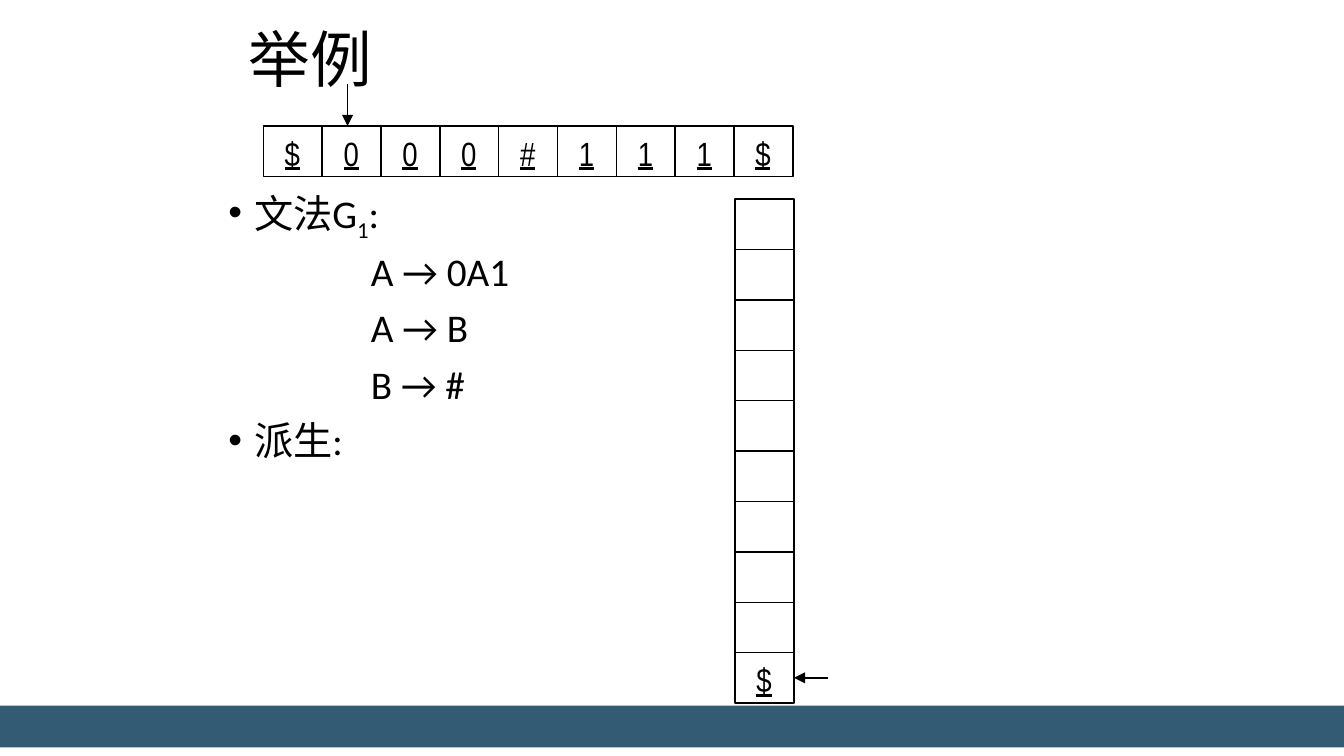
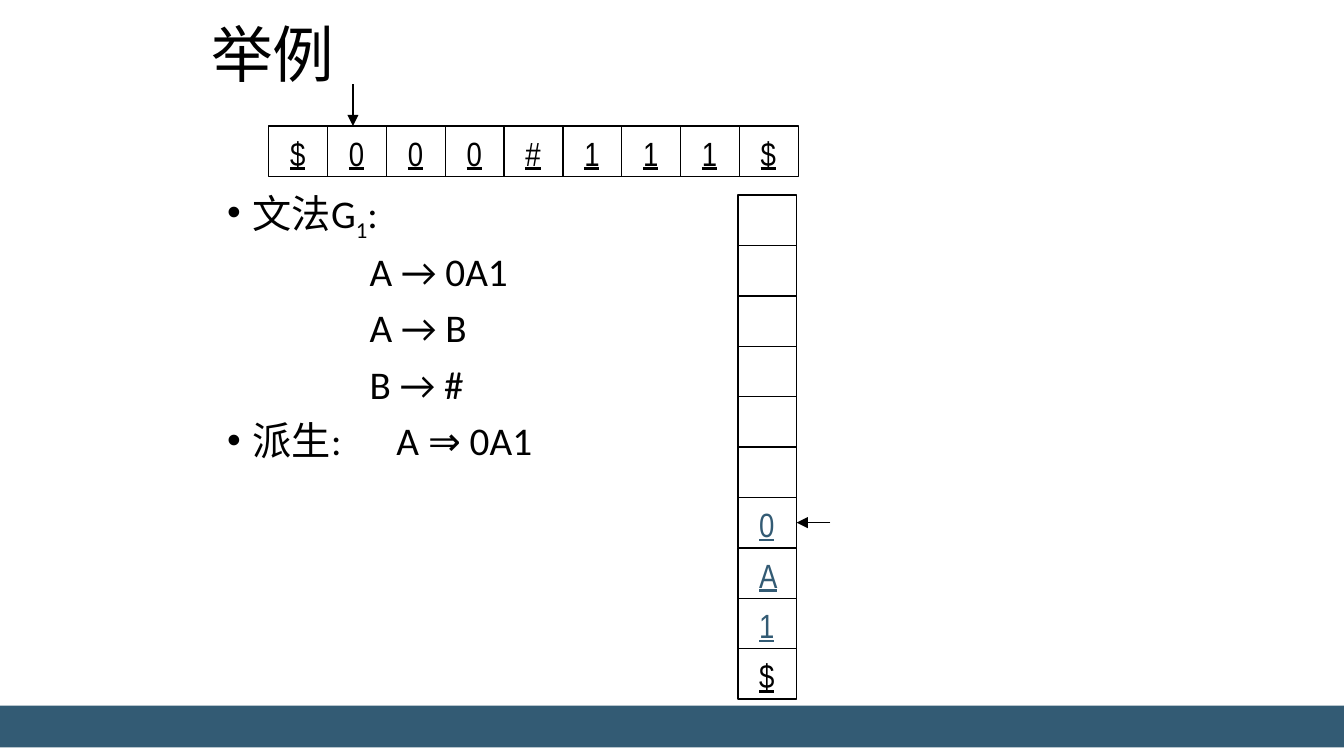
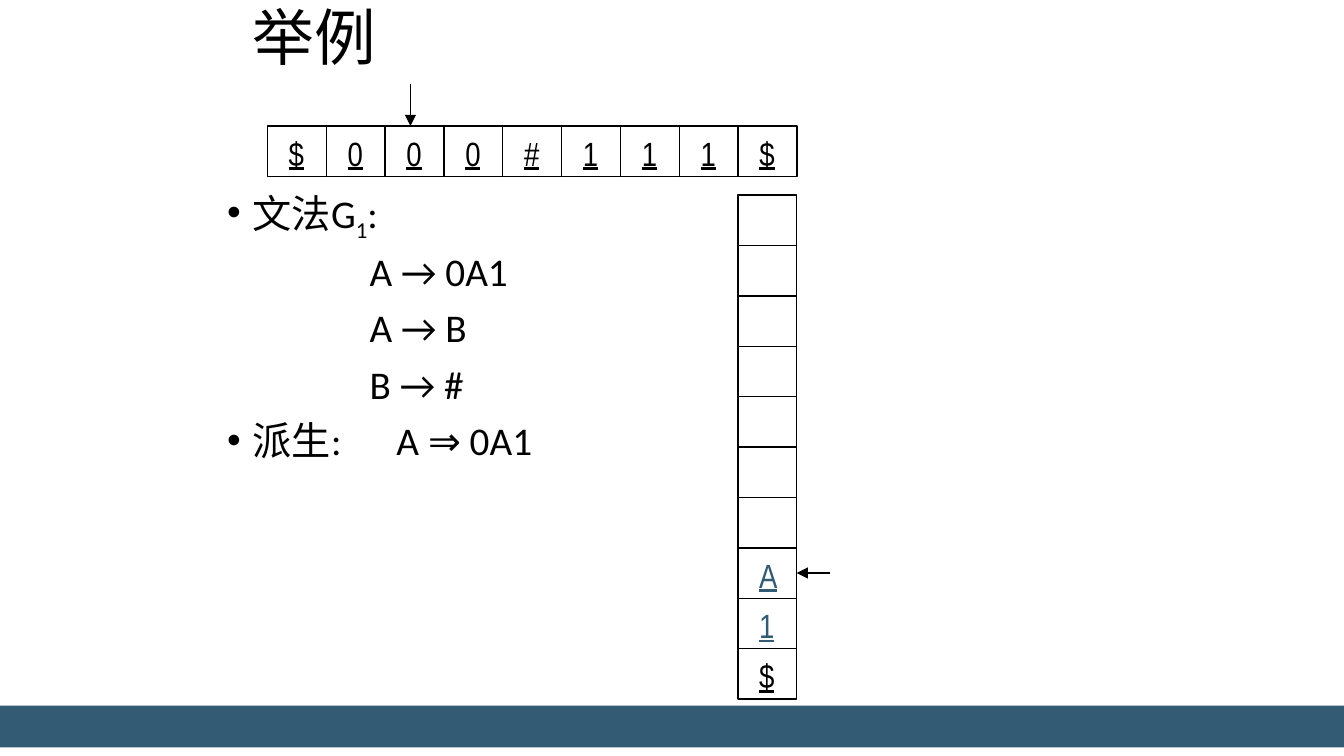
from dataclasses import dataclass

from lxml import etree
from pptx import Presentation
from pptx import util as u
from pptx.dml.color import RGBColor
from pptx.enum import shapes, text
from pptx.oxml import ns

COLORS = {"ink": "000000", "accent": "335B74", "paper": "FFFFFF"}
BODY_FONT, CELL_FONT = "Calibri", "Arial Narrow"
WIDTH, HEIGHT = u.Inches(10), u.Inches(5.625)
COLUMN, ROW = WIDTH / 10, HEIGHT / 15
TAPE = "$000#111$"
CELL = 3.94 / len(TAPE)
TAPE_TOP, STACK_ROWS = 2.5, 10
RULES = ("A → 0A1", "A → B", "B → #")
HANGING, RULE_INDENT, DERIVATION_TAB = 0.19, 1.06, 1.26


@dataclass
class Step:
    title_left: float
    title_top: float
    body_left: float
    tape_left: float
    head: int
    stack_left: float
    stack_top: float
    stack: str
    derivation: str = ""


STEPS = (
    Step(1.78, 0.48, 1.63, 1.96, 1, 5.47, 3.95, "$"),
    Step(1.5, 0.37, 1.62, 2.0, 1, 5.49, 3.87, "0A1$", "A ⇒ 0A1"),
    Step(1.81, 0.03, 1.62, 1.99, 2, 5.49, 3.87, "A1$", "A ⇒ 0A1"),
)


def across(columns: float) -> int:
    return round(columns * COLUMN)


def down(rows: float) -> int:
    return round(rows * ROW)


def color(name: str) -> RGBColor:
    return RGBColor.from_string(COLORS[name])


def add_child(parent, tag: str, **attributes: str):
    return etree.SubElement(parent, ns.qn(tag), attributes)


def style(span, size: float, font: str, ink: str = "ink") -> None:
    span.font.size = u.Pt(size)
    span.font.name = font
    span.font.color.rgb = color(ink)


def add_rect(holder, left: float, top: float, width: float, height: float,
             fill: str = "", line: str = ""):
    box = holder.shapes.add_shape(shapes.MSO_SHAPE.RECTANGLE, across(left), down(top),
                                  across(width), down(height))
    box.shadow.inherit = False
    if fill:
        box.fill.solid()
        box.fill.fore_color.rgb = color(fill)
    else:
        box.fill.background()
    if line:
        box.line.color.rgb = color(line)
        box.line.width = u.Pt(0.75)
    else:
        box.line.fill.background()


def add_arrow(holder, start: tuple[float, float], end: tuple[float, float]) -> None:
    arrow = holder.shapes.add_connector(shapes.MSO_CONNECTOR.STRAIGHT, across(start[0]),
                                        down(start[1]), across(end[0]), down(end[1]))
    arrow.line.color.rgb = color("ink")
    arrow.line.width = u.Pt(0.75)
    add_child(arrow.line._get_or_add_ln(), "a:tailEnd", type="triangle")
    add_child(arrow._element.spPr, "a:effectLst")


def add_text_frame(page, left: float, top: float, width: float, height: float):
    box = page.shapes.add_textbox(across(left), down(top), across(width), down(height))
    frame = box.text_frame
    frame.word_wrap = True
    frame.margin_left = frame.margin_right = u.Inches(0.07)
    frame.margin_top = frame.margin_bottom = u.Inches(0.04)
    return frame


def add_cell(holder, left: float, top: float, symbol: str = "", ink: str = "ink") -> None:
    add_rect(holder, left, top, CELL, 1, line="ink")
    if not symbol:
        return
    width = 0.44 if symbol == "$" else 0.31
    box = holder.shapes.add_textbox(across(left + 0.06), down(top), across(width), down(1.07))
    frame = box.text_frame
    frame.word_wrap = True
    frame.auto_size = text.MSO_AUTO_SIZE.SHAPE_TO_FIT_TEXT
    frame.text = symbol
    span = frame.paragraphs[0].runs[0]
    style(span, 18, CELL_FONT, ink)
    span.font.underline = True


def add_title(page, step: Step) -> None:
    frame = add_text_frame(page, step.title_left, step.title_top, 6.38, 2.5)
    frame.text = "举例"
    para = frame.paragraphs[0]
    para.line_spacing = 0.9
    style(para.runs[0], 33, BODY_FONT)


def add_body(page, step: Step) -> None:
    frame = add_text_frame(page, step.body_left, 3.67, 3.91, 10.16)
    derivation = f"派生:\t{step.derivation}" if step.derivation else "派生:"
    lines = (("文法G", "1", ":"), *((rule,) for rule in RULES), (derivation,))
    for index, pieces in enumerate(lines):
        para = frame.paragraphs[0] if index == 0 else frame.add_paragraph()
        para.line_spacing = 0.9
        para.space_before = u.Pt(7.5)
        for piece in pieces:
            span = para.add_run()
            span.text = piece
            style(span, 21, BODY_FONT)
            if piece == "1":
                span.font._element.set("baseline", "-25000")
        props = para._p.get_or_add_pPr()
        if pieces[0] in RULES:
            props.set("marL", str(u.Inches(RULE_INDENT)))
            props.set("indent", "0")
            add_child(props, "a:buNone")
            continue
        props.set("marL", str(u.Inches(HANGING)))
        props.set("indent", str(-u.Inches(HANGING)))
        add_child(props, "a:buFont", typeface="Arial")
        add_child(props, "a:buChar", char="•")
        if "\t" in pieces[0]:
            tabs = add_child(props, "a:tabLst")
            add_child(tabs, "a:tab", pos=str(u.Inches(DERIVATION_TAB)), algn="l")


def add_tape(page, step: Step) -> None:
    group = page.shapes.add_group_shape()
    for index, symbol in enumerate(TAPE):
        add_cell(group, step.tape_left + index * CELL, TAPE_TOP, symbol)
    head = step.tape_left + (step.head + 0.43) * CELL
    add_arrow(group, (head, TAPE_TOP - 0.83), (head, TAPE_TOP))


def add_stack(page, step: Step) -> None:
    group = page.shapes.add_group_shape()
    first = STACK_ROWS - len(step.stack)
    for row in range(STACK_ROWS):
        symbol = step.stack[row - first] if row >= first else ""
        ink = "ink" if symbol == "$" else "accent"
        add_cell(group, step.stack_left, step.stack_top + row, symbol, ink)
    right, middle = step.stack_left + CELL, step.stack_top + first + 0.5
    add_arrow(group, (right + 0.25, middle), (right, middle))


def add_page(deck, step: Step) -> None:
    page = deck.slides.add_slide(deck.slide_layouts[6])
    page.background.fill.solid()
    page.background.fill.fore_color.rgb = color("paper")
    add_title(page, step)
    add_body(page, step)
    add_tape(page, step)
    add_stack(page, step)
    add_rect(page, 0, 14, 10, 0.83, fill="accent")


deck = Presentation()
deck.slide_width, deck.slide_height = WIDTH, HEIGHT
for step in STEPS:
    add_page(deck, step)
deck.save("out.pptx")
